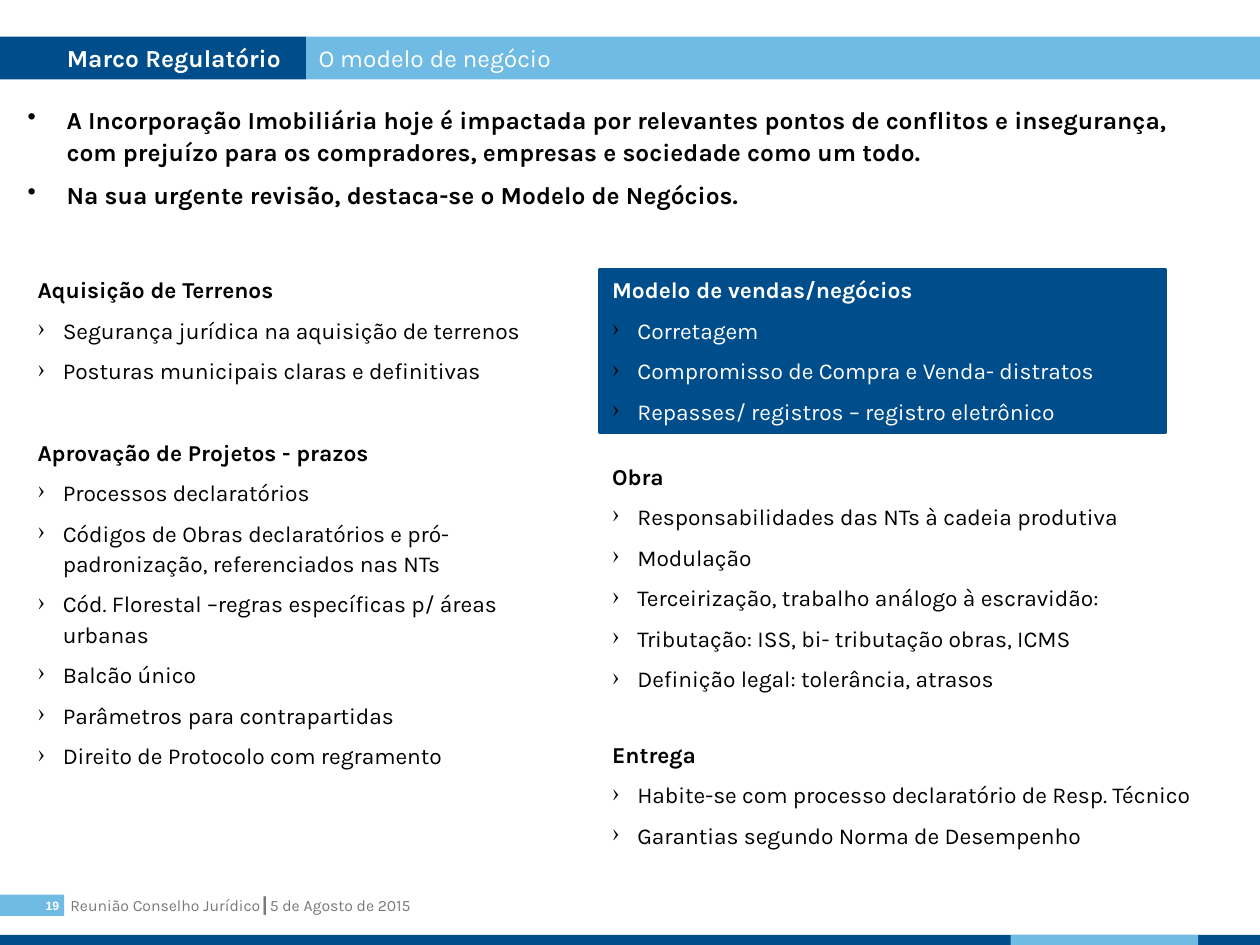
from dataclasses import dataclass
from typing import Optional

from lxml import etree
from pptx import Presentation
from pptx import util as u
from pptx.dml.color import RGBColor
from pptx.enum import shapes, text
from pptx.oxml.ns import qn

SCALE = 9144
NAVY = RGBColor(0x00, 0x4D, 0x8C)
SKY = RGBColor(0x6F, 0xBB, 0xE4)
GRAY = RGBColor(0x79, 0x79, 0x79)
WHITE = RGBColor(0xFF, 0xFF, 0xFF)
BLACK = RGBColor(0x00, 0x00, 0x00)


@dataclass
class Para:
    words: str
    bold: bool = False
    bullet: str = ""
    left: int = 0
    before: float = 6
    line: float = 1.1


@dataclass
class Box:
    left: int
    top: int
    width: int
    height: int
    paras: tuple[Para, ...] = ()
    fill: Optional[RGBColor] = None
    edge: Optional[RGBColor] = None
    ink: RGBColor = BLACK
    size: int = 13
    face: str = "Karla"
    inset: tuple[int, int, int, int] = (10, 5, 10, 5)
    anchor: text.MSO_ANCHOR = text.MSO_ANCHOR.TOP
    align: text.PP_ALIGN = text.PP_ALIGN.LEFT


def px(num: int) -> u.Emu:
    return u.Emu(num * SCALE)


def apply(item: object, vals: dict) -> None:
    for key, val in vals.items():
        setattr(item, key, val)


def write(par, data: Para, box: Box, first: bool) -> None:
    props = par._p.get_or_add_pPr()
    if data.left:
        props.set("marL", str(px(data.left)))
        props.set("indent", str(px(-data.left if data.bullet else 0)))
    if data.bullet:
        tint = etree.SubElement(props, qn("a:buClr"))
        etree.SubElement(tint, qn("a:srgbClr"), val=str(BLACK))
        etree.SubElement(props, qn("a:buChar"), char=data.bullet)
    apply(par, {
        "alignment": box.align,
        "line_spacing": data.line,
        "space_before": u.Pt(0 if first else data.before),
    })
    run = par.add_run()
    run.text = data.words
    apply(run.font, {"name": box.face, "size": u.Pt(box.size), "bold": data.bold})
    run.font.color.rgb = box.ink


def draw(slide, box: Box) -> None:
    area = [px(n) for n in (box.left, box.top, box.width, box.height)]
    if box.fill is None:
        shape = slide.shapes.add_textbox(*area)
    else:
        shape = slide.shapes.add_shape(shapes.MSO_SHAPE.RECTANGLE, *area)
        shape.shadow.inherit = False
        shape.fill.solid()
        shape.fill.fore_color.rgb = box.fill
        if box.edge is None:
            shape.line.fill.background()
        else:
            shape.line.color.rgb = box.edge
            shape.line.width = u.Pt(2.25)
    frame = shape.text_frame
    sides = ("margin_left", "margin_top", "margin_right", "margin_bottom")
    apply(frame, dict(zip(sides, map(px, box.inset))))
    apply(frame, {"word_wrap": True, "vertical_anchor": box.anchor})
    for i, data in enumerate(box.paras):
        write(frame.add_paragraph() if i else frame.paragraphs[0], data, box, i == 0)


def topic(head: str, items: list[str], before: float = 6, line: float = 1.0) -> tuple[Para, ...]:
    return (Para(head, bold=True, before=before, line=line),
            *(Para(item, bullet="›", left=20) for item in items))


def label(words: str, bold: bool = False, left: int = 0) -> tuple[Para, ...]:
    return (Para(words, bold=bold, left=left, line=1.0),)


LAND = topic("Aquisição de Terrenos", [
    "Segurança jurídica na aquisição de terrenos",
    "Posturas municipais claras e definitivas",
], line=1.1)
PLANS = topic("Aprovação de Projetos - prazos", [
    "Processos declaratórios",
    "Códigos de Obras declaratórios e pró-padronização, referenciados nas NTs",
    "Cód. Florestal –regras específicas p/ áreas urbanas",
    "Balcão único",
    "Parâmetros para contrapartidas",
    "Direito de Protocolo com regramento",
], before=29.25, line=1.1)
WORKS = topic("Obra", [
    "Responsabilidades das NTs à cadeia produtiva",
    "Modulação",
    "Terceirização, trabalho análogo à escravidão:",
    "Tributação: ISS, bi- tributação obras, ICMS",
    "Definição legal: tolerância, atrasos",
])
HANDOFF = topic("Entrega", [
    "Habite-se com processo declaratório de Resp. Técnico",
    "Garantias segundo Norma de Desempenho",
], before=27.5)
SALES = topic("Modelo de vendas/negócios", [
    "Corretagem",
    "Compromisso de Compra e Venda- distratos",
    "Repasses/ registros – registro eletrônico",
])
INTRO = tuple(Para(words, bold=True, bullet="•", left=31) for words in (
    "A Incorporação Imobiliária hoje é impactada por relevantes pontos de conflitos "
    "e insegurança, com prejuízo para os compradores, empresas e sociedade como um todo.",
    "Na sua urgente revisão, destaca-se o Modelo de Negócios.",
))

BOXES = [
    Box(46, 706, 730, 25, label("Reunião Conselho Jurídico┃5 de Agosto de 2015"),
        ink=GRAY, size=9),
    Box(0, 710, 51, 17, label("19", bold=True), fill=SKY, ink=WHITE, size=7, face="Arial",
        inset=(0, 0, 4, 0), anchor=text.MSO_ANCHOR.MIDDLE, align=text.PP_ALIGN.RIGHT),
    Box(0, 742, 1000, 8, fill=NAVY),
    Box(802, 742, 149, 8, fill=SKY),
    Box(0, 29, 243, 34, label("Marco Regulatório", bold=True, left=49),
        fill=NAVY, ink=WHITE, size=14, inset=(4, 5, 4, 5)),
    Box(243, 29, 757, 34, label("O modelo de negócio"), fill=SKY, ink=WHITE, size=14),
    Box(20, 212, 417, 407, LAND + PLANS),
    Box(476, 362, 508, 320, WORKS + HANDOFF),
    Box(476, 214, 449, 129, SALES, fill=NAVY, edge=NAVY, ink=WHITE),
    Box(12, 76, 961, 96, INTRO, size=14),
]


def main() -> None:
    deck = Presentation()
    apply(deck, {"slide_width": px(1000), "slide_height": px(750)})
    slide = deck.slides.add_slide(deck.slide_layouts[6])
    for box in BOXES:
        draw(slide, box)
    deck.save("out.pptx")


if __name__ == "__main__":
    main()
